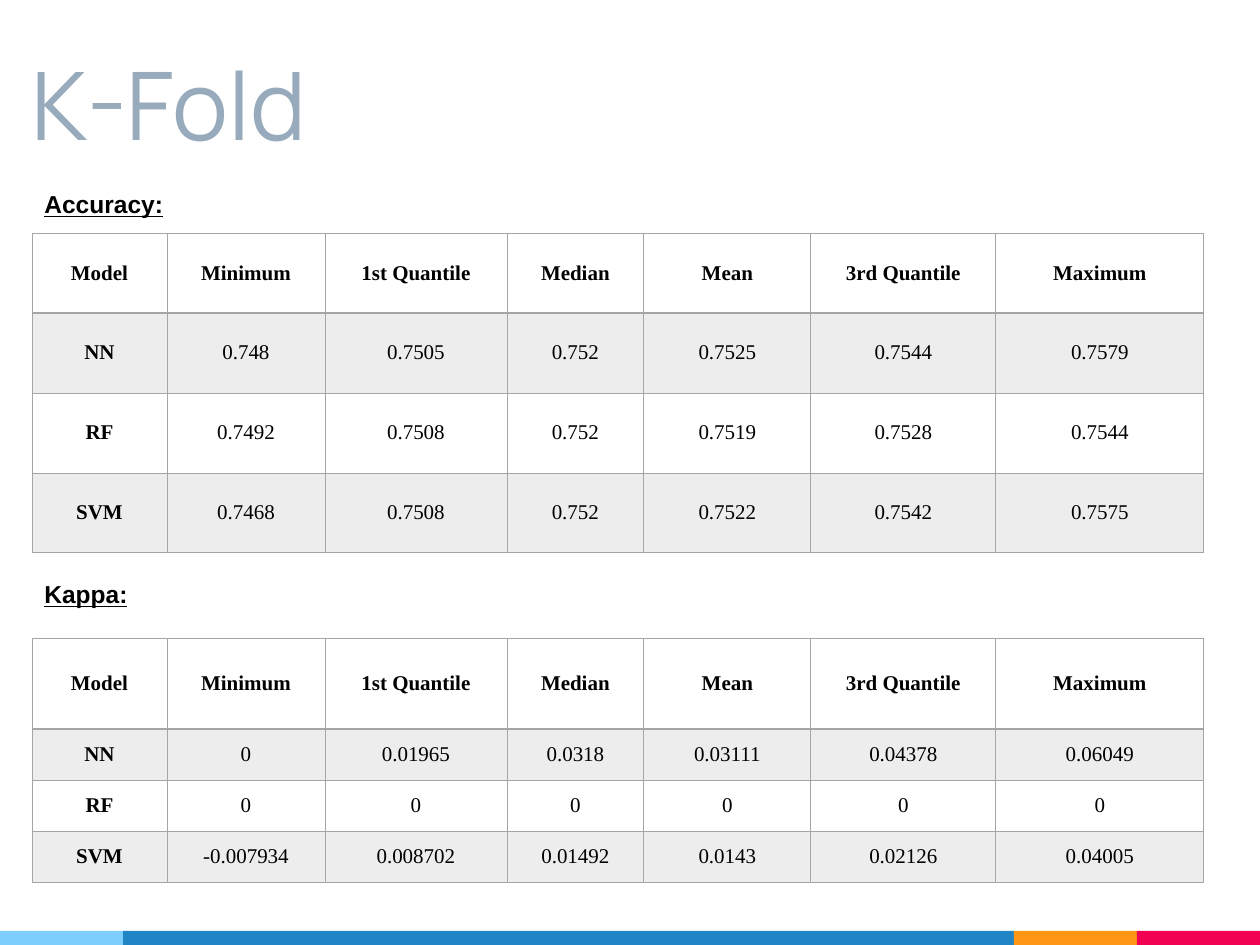
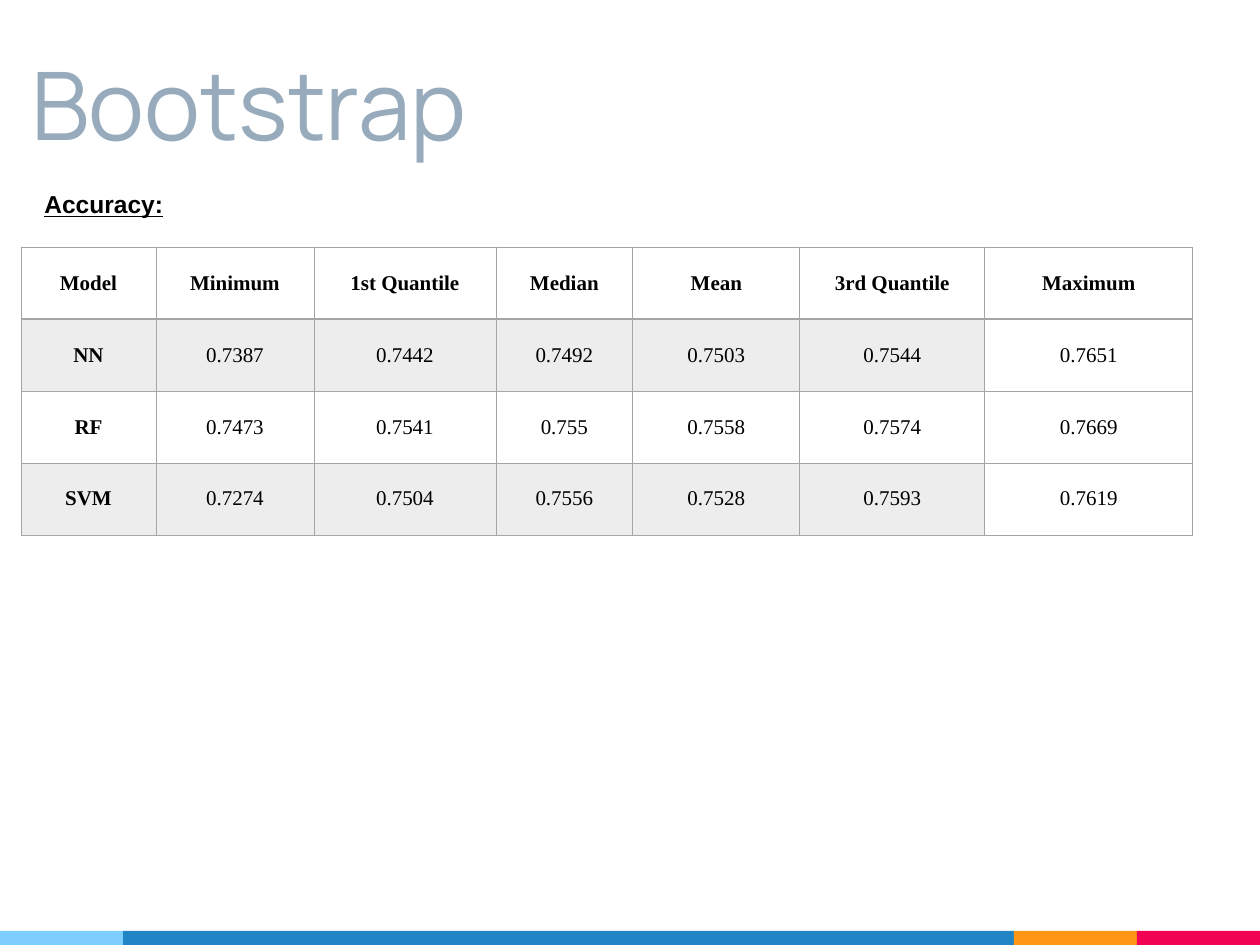
from lxml.etree import SubElement
from pptx import Presentation
from pptx.dml.color import RGBColor
from pptx.enum.shapes import MSO_SHAPE
from pptx.enum.text import MSO_ANCHOR, PP_ALIGN
from pptx.oxml.ns import qn
from pptx.util import Emu, Pt

TITLE, INK, GRID, STRIPE = "97ABBC", "000000", "A5A5A5", "EDEDED"
BAND = [("7ECEFD", 123), ("2185C5", 891), ("FF9715", 123), ("F20253", 123)]
HEADS = ["Model", "Minimum", "1st Quantile", "Median", "Mean", "3rd Quantile", "Maximum"]
WIDTHS = [135, 158, 182, 137, 167, 185, 208]

FOLD_ACC = [
    ["NN", "0.748", "0.7505", "0.752", "0.7525", "0.7544", "0.7579"],
    ["RF", "0.7492", "0.7508", "0.752", "0.7519", "0.7528", "0.7544"],
    ["SVM", "0.7468", "0.7508", "0.752", "0.7522", "0.7542", "0.7575"],
]
FOLD_KAPPA = [
    ["NN", "0", "0.01965", "0.0318", "0.03111", "0.04378", "0.06049"],
    ["RF", "0", "0", "0", "0", "0", "0"],
    ["SVM", "-0.007934", "0.008702", "0.01492", "0.0143", "0.02126", "0.04005"],
]
BOOT_ACC = [
    ["NN", "0.7387", "0.7442", "0.7492", "0.7503", "0.7544", "0.7651"],
    ["RF", "0.7473", "0.7541", "0.755", "0.7558", "0.7574", "0.7669"],
    ["SVM", "0.7274", "0.7504", "0.7556", "0.7528", "0.7593", "0.7619"],
]


def px(n):
    return Emu(round(n * 914400 / 126))


def color(code):
    return RGBColor.from_string(code)


def style(para, face, size, code, bold=False, under=False):
    font = para.font
    font.name, font.size, font.bold, font.underline = face, Pt(size), bold, under
    font.color.rgb = color(code)


def add_text(slide, text, box, pad=None, anchor=MSO_ANCHOR.TOP):
    frame = slide.shapes.add_textbox(*map(px, box)).text_frame
    frame.word_wrap = True
    frame.vertical_anchor = anchor
    if pad:
        frame.margin_left = frame.margin_right = px(pad)
        frame.margin_top = frame.margin_bottom = px(pad)
    para = frame.paragraphs[0]
    para.text = text
    return para


def add_title(slide, text):
    para = add_text(slide, text, (18, 14, 1051, 158), 13, MSO_ANCHOR.BOTTOM)
    style(para, "Manrope", 54, TITLE)


def add_label(slide, text, top):
    para = add_text(slide, text, (32, top, 896, 43))
    style(para, "Arial", 14, INK, bold=True, under=True)


def add_band(slide):
    left = 0
    for code, width in BAND:
        bar = slide.shapes.add_shape(MSO_SHAPE.RECTANGLE, *map(px, (left, 931, width, 14)))
        bar.shadow.inherit = False
        bar.fill.solid()
        bar.fill.fore_color.rgb = color(code)
        bar.line.fill.background()
        left += width


def add_edge(cell, side, width):
    line = SubElement(cell._tc.get_or_add_tcPr(), qn(f"a:ln{side}"), w=str(Pt(width)))
    fill = SubElement(line, qn("a:solidFill"))
    SubElement(fill, qn("a:srgbClr"), val=GRID)


def fill_cell(cell, text, row, bold, shade):
    cell.margin_left = cell.margin_right = px(9)
    cell.margin_top = cell.margin_bottom = px(9)
    cell.vertical_anchor = MSO_ANCHOR.MIDDLE
    para = cell.text_frame.paragraphs[0]
    para.text = text
    para.alignment = PP_ALIGN.CENTER
    style(para, "Times New Roman", 12, INK, bold)
    heavy = {"T": row == 1, "B": row == 0}
    for side in "LRTB":
        add_edge(cell, side, 1 if heavy.get(side) else 0.5)
    if shade:
        cell.fill.solid()
        cell.fill.fore_color.rgb = color(STRIPE)
    else:
        cell.fill.background()


def add_grid(slide, data, left, top, heights, shaded=len(HEADS)):
    rows = [HEADS] + data
    box = map(px, (left, top, sum(WIDTHS), sum(heights)))
    table = slide.shapes.add_table(len(rows), len(HEADS), *box).table
    table.first_row = table.horz_banding = False
    for col, width in zip(table.columns, WIDTHS):
        col.width = px(width)
    for r, (texts, height) in enumerate(zip(rows, heights)):
        table.rows[r].height = px(height)
        for c, text in enumerate(texts):
            shade = r % 2 == 1 and c < shaded
            fill_cell(table.cell(r, c), text, r, r == 0 or c == 0, shade)


def add_page(deck, title):
    slide = deck.slides.add_slide(deck.slide_layouts[6])
    add_band(slide)
    add_title(slide, title)
    add_label(slide, "Accuracy:", 183)
    return slide


def main():
    deck = Presentation()
    deck.slide_width, deck.slide_height = px(1260), px(945)

    fold = add_page(deck, "K-Fold")
    add_grid(fold, FOLD_ACC, 32, 233, [80] * 4)
    add_label(fold, "Kappa:", 573)
    add_grid(fold, FOLD_KAPPA, 32, 638, [91] + [51] * 3)

    boot = add_page(deck, "Bootstrap")
    add_grid(boot, BOOT_ACC, 21, 247, [72] * 4, shaded=6)

    deck.save("out.pptx")


if __name__ == "__main__":
    main()
